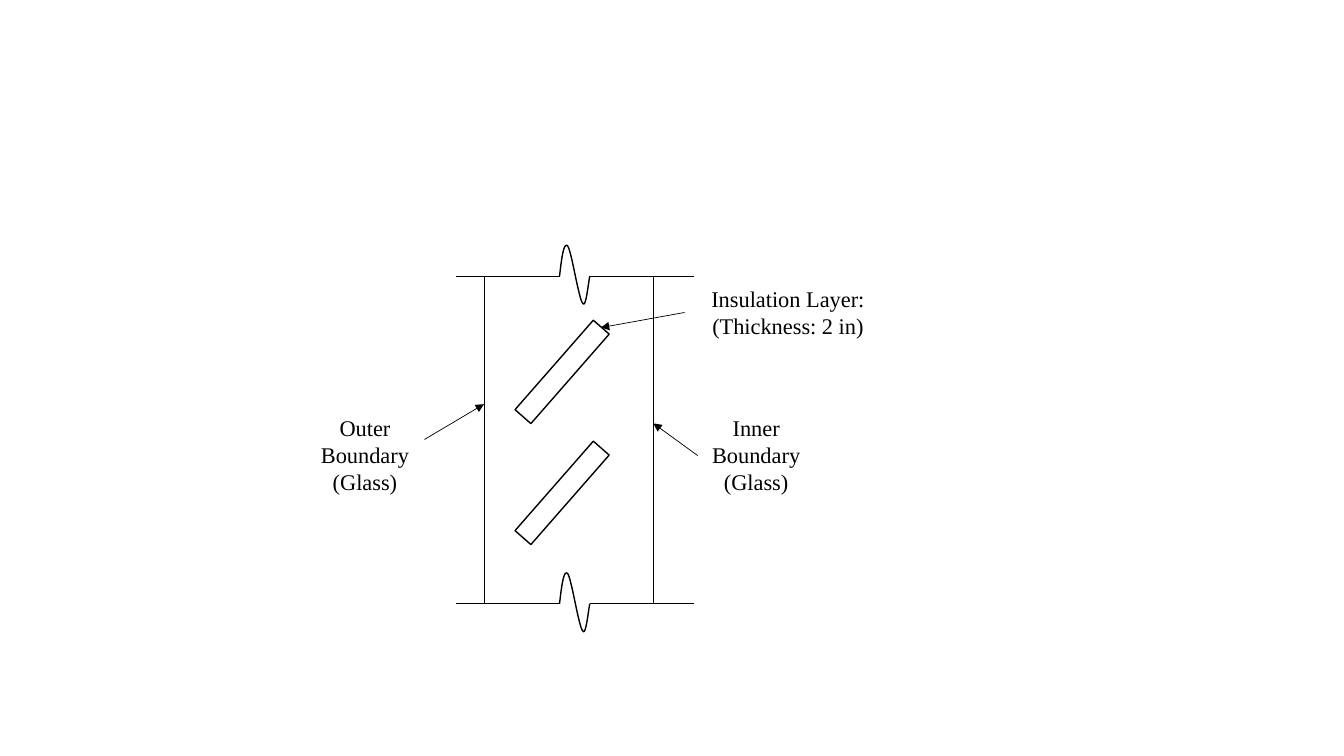
"""Draw a wall section with two glass boundaries and slanted insulation layers."""
from lxml.etree import SubElement
from pptx import Presentation
from pptx.dml.color import RGBColor
from pptx.enum.shapes import MSO_CONNECTOR, MSO_SHAPE
from pptx.enum.text import MSO_AUTO_SIZE, PP_ALIGN
from pptx.oxml.ns import qn
from pptx.util import Inches, Pt

BLACK = RGBColor(0, 0, 0)
TOP, BOTTOM = 2.74, 5.99
OUTER, INNER = 4.8, 6.48
BREAK_LEFT, BREAK_RIGHT = 5.55, 5.85
WAVE = [
    [(0, 0), (0.02, -0.17), (0.04, -0.34), (0.08, -0.3)],
    [(0.08, -0.3), (0.12, -0.25), (0.19, 0.23), (0.23, 0.27)],
    [(0.23, 0.27), (0.26, 0.32), (0.28, 0.11), (0.3, 0)],
]
STEPS = 16

deck = Presentation()
deck.slide_width, deck.slide_height = Inches(13.33), Inches(7.5)
page = deck.slides.add_slide(deck.slide_layouts[6])


def add_line(x1, y1, x2, y2, arrow=False):
    line = page.shapes.add_connector(
        MSO_CONNECTOR.STRAIGHT, Inches(x1), Inches(y1), Inches(x2), Inches(y2))
    line.line.color.rgb = BLACK
    line.line.width = Pt(0.5)
    if arrow:
        SubElement(line.line._get_or_add_ln(), qn("a:tailEnd"), type="triangle")
    SubElement(line._element.spPr, qn("a:effectLst"))


def outline(shape):
    shape.shadow.inherit = False
    shape.fill.background()
    shape.line.color.rgb = BLACK
    shape.line.width = Pt(1)


for top in (3.1, 4.3):
    layer = page.shapes.add_shape(
        MSO_SHAPE.RECTANGLE, Inches(5.47), Inches(top), Inches(0.21), Inches(1.18))
    layer.rotation = 41.2
    outline(layer)

for level in (BOTTOM, TOP):
    add_line(4.52, level, BREAK_LEFT, level)
    points = []
    for curve in WAVE:
        for step in range(1, STEPS + 1):
            t = step / STEPS
            weights = ((1 - t) ** 3, 3 * t * (1 - t) ** 2, 3 * t ** 2 * (1 - t), t ** 3)
            x, y = (sum(w * p[axis] for w, p in zip(weights, curve)) for axis in (0, 1))
            points.append((Inches(BREAK_LEFT + x), Inches(level + y)))
    builder = page.shapes.build_freeform(Inches(BREAK_LEFT), Inches(level))
    builder.add_line_segments(points, close=False)
    outline(builder.convert_to_shape())
    add_line(BREAK_RIGHT, level, 6.88, level)

for x in (OUTER, INNER):
    add_line(x, TOP, x, BOTTOM)

labels = [
    ("Outer Boundary\n(Glass)", (3.03, 4.06, 1.18, 0.91), (4.21, 4.36, OUTER, 4.01)),
    ("Inner Boundary\n(Glass)", (6.92, 4.06, 1.16, 0.91), (6.92, 4.52, INNER, 4.2)),
    ("Insulation Layer:\n(Thickness: 2 in)", (6.79, 2.78, 2.05, 0.64), (6.79, 3.1, 5.96, 3.25)),
]
for text, place, pointer in labels:
    box = page.shapes.add_textbox(*[Inches(value) for value in place])
    frame = box.text_frame
    frame.word_wrap = True
    frame.auto_size = MSO_AUTO_SIZE.SHAPE_TO_FIT_TEXT
    frame.text = text
    for para in frame.paragraphs:
        para.alignment = PP_ALIGN.CENTER
        for span in para.runs:
            span.font.name = "Times New Roman"
            span.font.size = Pt(16)
            span.font.color.rgb = BLACK
    add_line(*pointer, arrow=True)

deck.save("out.pptx")
